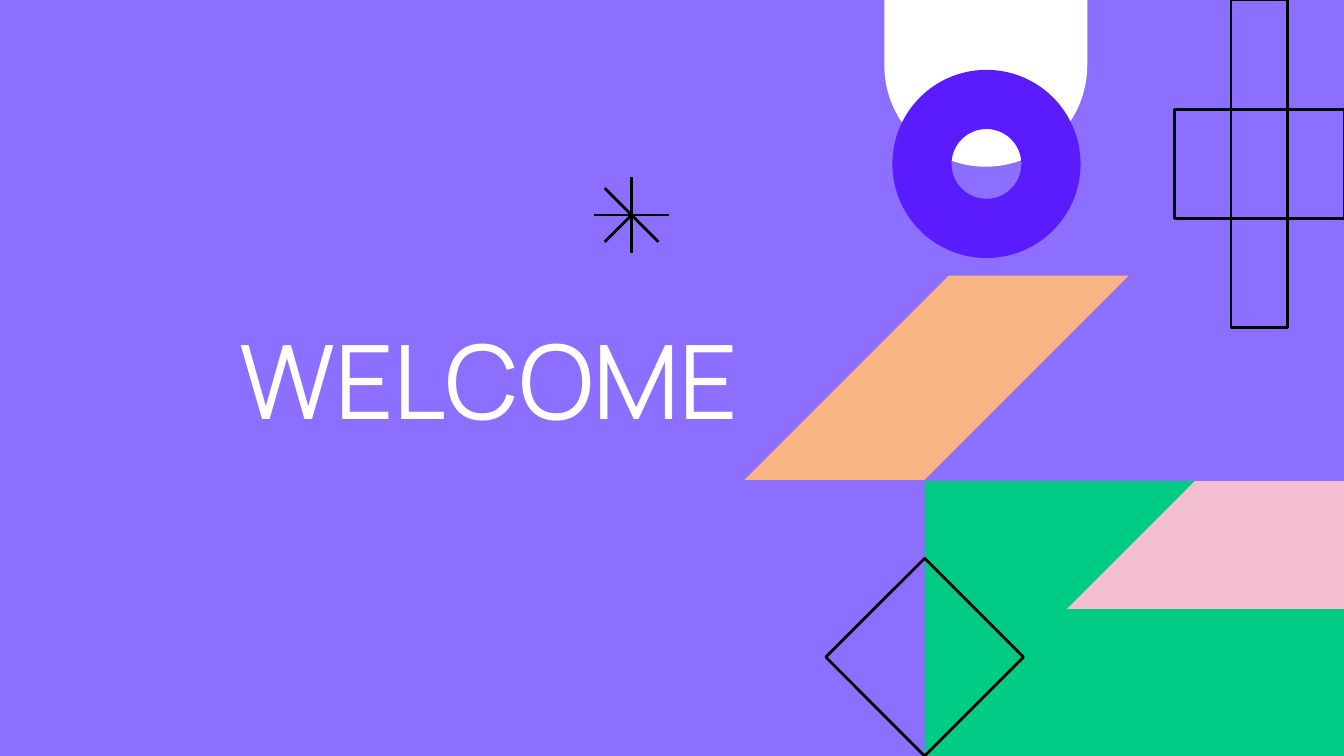
from pptx import Presentation
from pptx.dml.color import RGBColor
from pptx.enum.shapes import MSO_CONNECTOR, MSO_SHAPE
from pptx.enum.text import MSO_ANCHOR, PP_ALIGN
from pptx.oxml.ns import qn
from pptx.util import Inches, Pt
from lxml import etree

COLORS = {
    "background": "8D6FFF",
    "white": "FFFFFF",
    "black": "000000",
    "orange": "F9B485",
    "green": "00CB84",
    "pink": "F3BFD1",
    "violet": "5A1CFE",
}
TITLE = "WELCOME"
TITLE_BOX = (1.53, 1.19, 5.22, 3.25)
PILL = (6.58, -0.81, 1.51, 2.05)
GREEN_BLOCK = (6.88, 3.58, 3.12, 2.05)
RING = (6.64, 0.52, 1.4, 1.4)
RING_HOLE = 0.52
DIAMOND = (6.36, 4.37, 1.04, 1.04)
ORANGE_BAND = [(7.06, 2.05), (5.54, 3.57), (6.88, 3.57), (8.4, 2.05)]
PINK_BAND = [(8.89, 3.58), (11.04, 3.58), (10.1, 4.53), (7.94, 4.53)]

CROSS_LEFT = 8.74
CROSS_SIZE = (1.26, 2.44)
CROSS_CELLS = [(2, 1), (0, 1), (1, 0), (1, 2)]

STAR_CENTER = (4.7, 1.6)
STAR_RAYS = [
    ((0, -0.28), (0, 0.28)),
    ((0.28, 0), (-0.28, 0)),
    ((0.2, 0.2), (-0.2, -0.2)),
    ((-0.2, 0.2), (0, 0)),
]


def color(name):
    return RGBColor.from_string(COLORS[name])


def outline(line):
    line.color.rgb = color("black")
    line.width = Pt(1.5)


def paint(shape, fill=None):
    shape.shadow.inherit = False
    if fill:
        shape.fill.solid()
        shape.fill.fore_color.rgb = color(fill)
        shape.line.fill.background()
    else:
        shape.fill.background()
        outline(shape.line)
    return shape


def add_preset(kind, box, fill=None):
    return paint(slide.shapes.add_shape(kind, *map(Inches, box)), fill)


def add_band(corners, fill):
    points = [(Inches(x), Inches(y)) for x, y in corners]
    builder = slide.shapes.build_freeform(*points[0])
    builder.add_line_segments(points[1:], close=True)
    paint(builder.convert_to_shape(), fill)


def add_ray(start, end):
    ends = [Inches(center + offset) for point in (start, end)
            for center, offset in zip(STAR_CENTER, point)]
    ray = slide.shapes.add_connector(MSO_CONNECTOR.STRAIGHT, *ends)
    outline(ray.line)
    etree.SubElement(ray._element.spPr, qn("a:effectLst"))


def add_title():
    frame = slide.shapes.add_textbox(*map(Inches, TITLE_BOX)).text_frame
    frame.word_wrap = True
    frame.vertical_anchor = MSO_ANCHOR.MIDDLE
    frame.margin_left = Inches(0.25)
    frame.margin_right = frame.margin_top = frame.margin_bottom = Inches(0.1)
    frame.text = TITLE
    paragraph = frame.paragraphs[0]
    paragraph.alignment = PP_ALIGN.LEFT
    font = paragraph.runs[0].font
    font.name = "Manrope"
    font.size = Pt(55)
    font.color.rgb = color("white")


deck = Presentation()
deck.slide_width = Inches(10)
deck.slide_height = deck.slide_width * 9 // 16
slide = deck.slides.add_slide(deck.slide_layouts[6])
slide.background.fill.solid()
slide.background.fill.fore_color.rgb = color("background")

pill = add_preset(MSO_SHAPE.ROUNDED_RECTANGLE, PILL, "white")
pill.adjustments[0] = 0.5

cell_width, cell_height = (length / 3 for length in CROSS_SIZE)
for column, row in CROSS_CELLS:
    add_preset(MSO_SHAPE.RECTANGLE, (CROSS_LEFT + column * cell_width,
                                     row * cell_height, cell_width, cell_height))

add_band(ORANGE_BAND, "orange")
add_preset(MSO_SHAPE.RECTANGLE, GREEN_BLOCK, "green")
add_title()
for start, end in STAR_RAYS:
    add_ray(start, end)
add_band(PINK_BAND, "pink")

ring = add_preset(MSO_SHAPE.DONUT, RING, "violet")
ring.adjustments[0] = (RING[2] - RING_HOLE) / 2 / RING[2]
diamond = add_preset(MSO_SHAPE.RECTANGLE, DIAMOND)
diamond.rotation = 45

deck.save("out.pptx")
